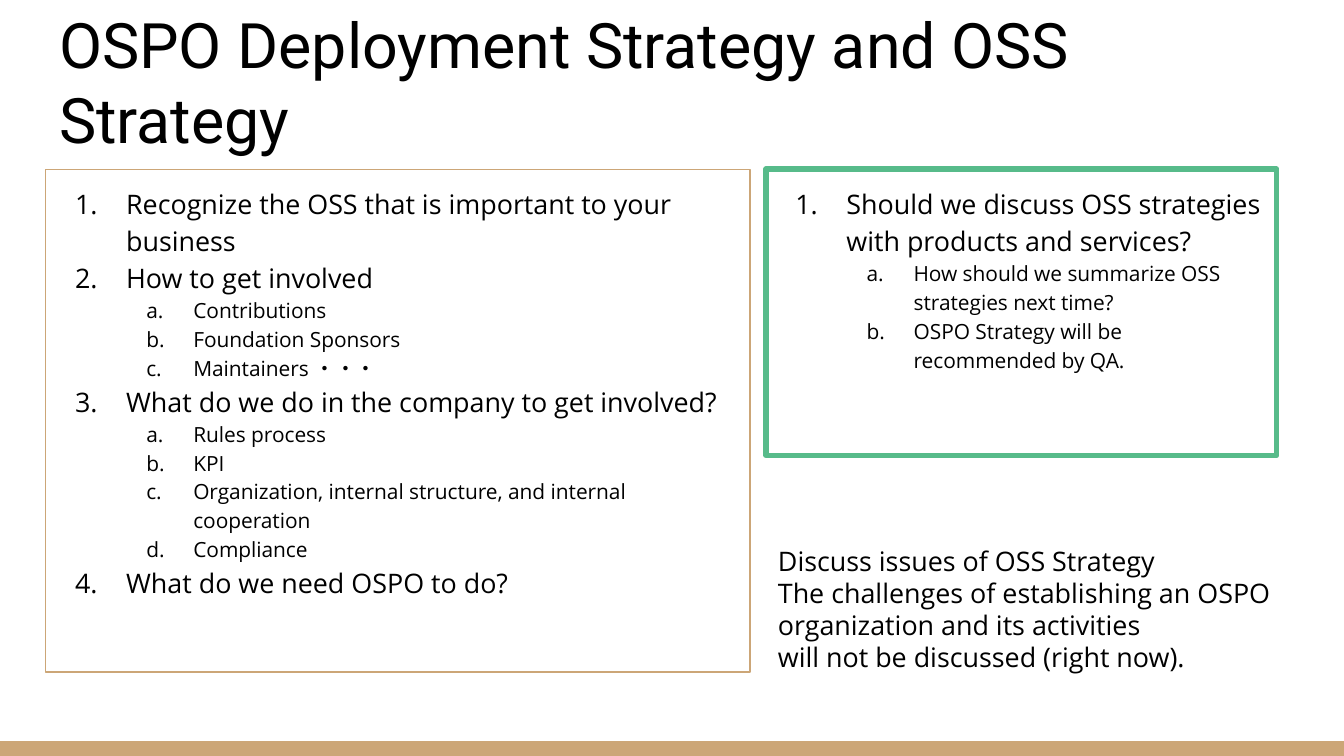
from dataclasses import dataclass

from lxml.etree import SubElement
from pptx import Presentation
from pptx.dml.color import RGBColor as Rgb
from pptx.enum.shapes import MSO_SHAPE as Preset
from pptx.enum.text import MSO_ANCHOR as Anchor, PP_ALIGN as Align
from pptx.oxml.ns import qn
from pptx.util import Inches, Pt

TITLE = "OSPO Deployment Strategy and OSS Strategy"
STEPS = [
    ("Recognize the OSS that is important to your business", []),
    ("How to get involved",
     ["Contributions", "Foundation Sponsors", "Maintainers ・・・"]),
    ("What do we do in the company to get involved?",
     ["Rules process", "KPI",
      "Organization, internal structure, and internal cooperation",
      "Compliance"]),
    ("What do we need OSPO to do?", []),
]
QUESTIONS = [
    ("Should we discuss OSS strategies with products and services?",
     ["How should we summarize OSS strategies next time?",
      "OSPO Strategy will be recommended by QA."]),
]
REMARK = [
    "Discuss issues of OSS Strategy",
    "The challenges of establishing an OSPO organization and its activities",
    "will not be discussed (right now).",
]


@dataclass(frozen=True)
class Theme:
    """Colours, fonts, type sizes and line spacing."""
    ink: Rgb = Rgb(0, 0, 0)
    tan: Rgb = Rgb(0xCC, 0xA6, 0x77)
    green: Rgb = Rgb(0x57, 0xBB, 0x8A)
    heading: str = "Roboto"
    body: str = "Open Sans"
    title_size: float = 33.6
    sizes: tuple = (14.4, 11.2)
    list_spacing: float = 1.15


THEME = Theme()
WIDTH = 10
HEIGHT = WIDTH * 9 / 16
MARGIN, TOP = 0.34, 1.26
TITLE_HEIGHT = 0.91
BAR = 0.11
INSET = 0.1
LEVELS = [("arabicPeriod", 0.5, 0.38), ("alphaLcPeriod", 1, 0.35)]


def box(*lengths):
    """Convert lengths in inches to slide units."""
    return [Inches(length) for length in lengths]


def prepare(frame, anchor=Anchor.TOP):
    """Set wrapping, anchor and equal insets of a text frame."""
    frame.word_wrap = True
    frame.vertical_anchor = anchor
    frame.margin_left = frame.margin_right = Inches(INSET)
    frame.margin_top = frame.margin_bottom = Inches(INSET)
    return frame


def style(paragraph, font, size, spacing=1.0):
    """Set the font, for all scripts, and line spacing of a paragraph."""
    paragraph.alignment = Align.LEFT
    paragraph.line_spacing = spacing
    paragraph.font.name = font
    paragraph.font.size = Pt(size)
    paragraph.font.color.rgb = THEME.ink
    defaults = paragraph._p.pPr.find(qn("a:defRPr"))
    SubElement(defaults, qn("a:ea"), typeface=font)


def number(paragraph, level):
    """Give a paragraph its automatic number and hanging indent."""
    scheme, indent, hang = LEVELS[level]
    paragraph.level = level
    properties = paragraph._p.get_or_add_pPr()
    properties.set("marL", str(Inches(indent)))
    properties.set("indent", str(-Inches(hang)))
    SubElement(properties, qn("a:buAutoNum"), type=scheme)


def add_outline(slide, place, items, colour, weight):
    """Add a framed two-level numbered list."""
    panel = slide.shapes.add_textbox(*box(*place))
    panel.line.color.rgb = colour
    panel.line.width = Pt(weight)
    frame = prepare(panel.text_frame)
    lines = [line for head, subs in items
             for line in [(head, 0), *((sub, 1) for sub in subs)]]
    for index, (text, level) in enumerate(lines):
        paragraph = frame.add_paragraph() if index else frame.paragraphs[0]
        paragraph.text = text
        number(paragraph, level)
        style(paragraph, THEME.body, THEME.sizes[level], THEME.list_spacing)


def main():
    """Build the slide and save it."""
    deck = Presentation()
    deck.slide_width, deck.slide_height = box(WIDTH, HEIGHT)
    slide = deck.slides.add_slide(deck.slide_layouts[5])

    footer = slide.shapes.add_shape(
        Preset.RECTANGLE, *box(0, HEIGHT - BAR, WIDTH, BAR))
    footer.shadow.inherit = False
    footer.fill.solid()
    footer.fill.fore_color.rgb = THEME.tan
    footer.line.fill.background()

    title = slide.shapes.title
    title.left, title.top, title.width, title.height = box(
        MARGIN, TOP - TITLE_HEIGHT, WIDTH - 2 * MARGIN, TITLE_HEIGHT)
    heading = prepare(title.text_frame, Anchor.BOTTOM).paragraphs[0]
    heading.text = TITLE
    style(heading, THEME.heading, THEME.title_size)

    add_outline(slide, (MARGIN, TOP, 5.24, 3.74), STEPS, THEME.tan, 0.75)
    add_outline(slide, (5.7, TOP, 3.8, 2.13), QUESTIONS, THEME.green, 3)

    remark = slide.shapes.add_textbox(*box(5.69, 3.95, 4.07, 1.04))
    note = prepare(remark.text_frame).paragraphs[0]
    note.text = "\v".join(REMARK)
    style(note, THEME.body, THEME.sizes[0])

    deck.save("out.pptx")


if __name__ == "__main__":
    main()
